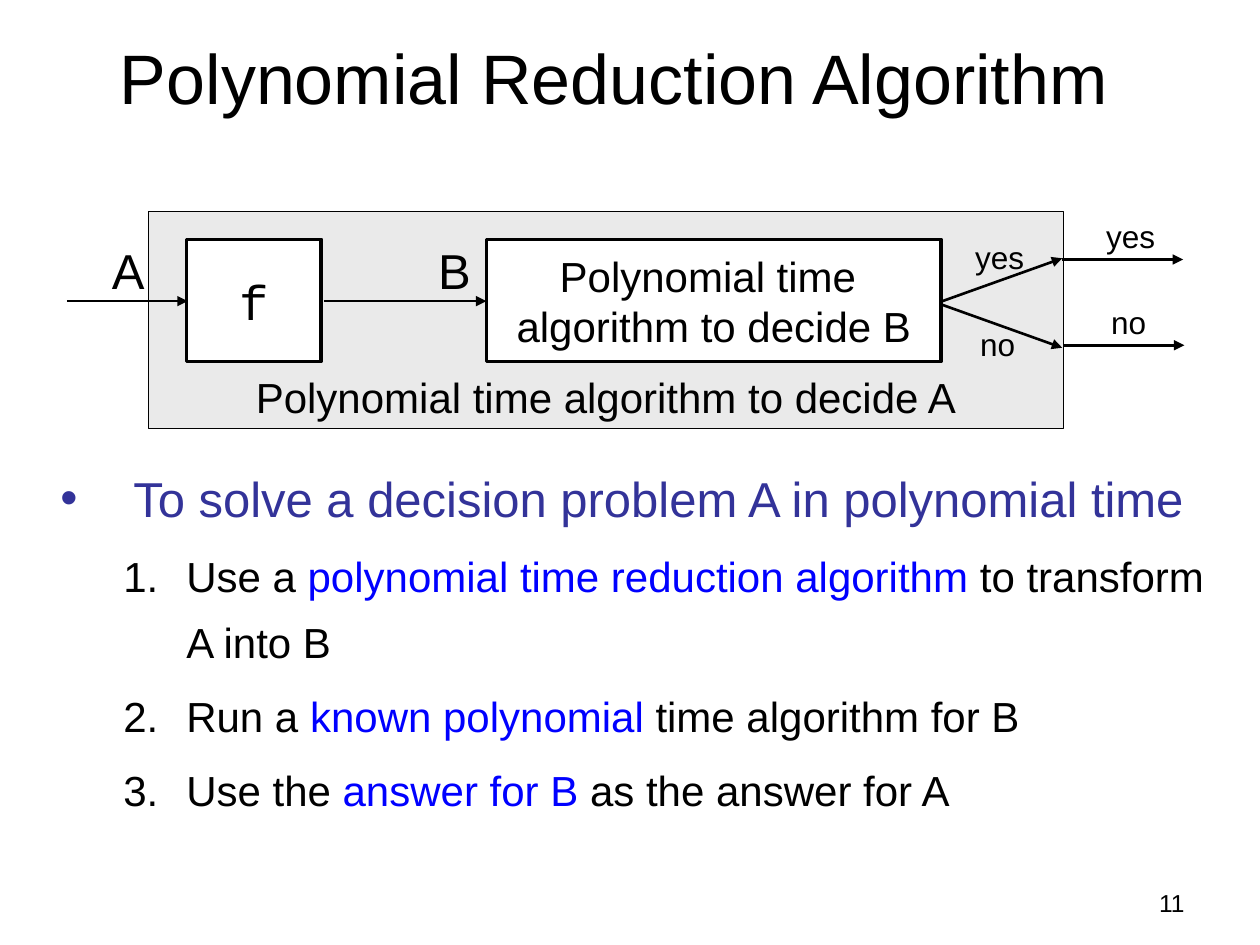
from lxml import etree
from pptx import Presentation
from pptx.dml.color import RGBColor
from pptx.enum.shapes import MSO_CONNECTOR, MSO_SHAPE
from pptx.enum.text import MSO_ANCHOR, PP_ALIGN
from pptx.oxml.ns import qn
from pptx.util import Inches, Pt

BLACK = RGBColor(0x00, 0x00, 0x00)
WHITE = RGBColor(0xFF, 0xFF, 0xFF)
GREY = RGBColor(0xEA, 0xEA, 0xEA)
NAVY = RGBColor(0x33, 0x33, 0x99)
BLUE = RGBColor(0x00, 0x00, 0xFF)
LEFT, CENTER, RIGHT = PP_ALIGN.LEFT, PP_ALIGN.CENTER, PP_ALIGN.RIGHT
TOP, MIDDLE, BOTTOM = MSO_ANCHOR.TOP, MSO_ANCHOR.MIDDLE, MSO_ANCHOR.BOTTOM
RECT, STRAIGHT = MSO_SHAPE.RECTANGLE, MSO_CONNECTOR.STRAIGHT
COLS, ROWS = 100, 75


def write(frame, text, size=24, color=BLACK, font="Arial", align=LEFT,
          mark=None, hang=0, indent=0, lead=None):
    for line in text.split("\n"):
        par = frame.paragraphs[0]
        first = not par.runs
        if not first:
            par = frame.add_paragraph()
        if mark:
            props = par._p.get_or_add_pPr()
            props.set("marL", str(Inches(indent)))
            props.set("indent", str(-Inches(hang)))
            if mark == "1.":
                etree.SubElement(props, qn("a:buAutoNum"), type="arabicPeriod")
            else:
                etree.SubElement(props, qn("a:buFont"), typeface=font)
                etree.SubElement(props, qn("a:buChar"), char=mark)
        if lead:
            par.line_spacing = lead
            par.space_before = Pt(0 if first else size * 0.2)
        par.alignment = align
        for place, part in enumerate(line.split("|")):
            run = par.add_run()
            run.text = part
            run.font.size = Pt(size)
            run.font.name = font
            run.font.color.rgb = BLUE if place % 2 else color


class Board:
    def __init__(self):
        self.deck = Presentation()
        self.deck.slide_width = Inches(10)
        self.deck.slide_height = Inches(7.5)
        self.slide = self.deck.slides.add_slide(self.deck.slide_layouts[6])
        self.shapes = self.slide.shapes

    def grid(self, *spots):
        units = self.deck.slide_width / COLS, self.deck.slide_height / ROWS
        return [round(spot * units[i % 2]) for i, spot in enumerate(spots)]

    def text(self, spot, text, anchor=TOP, wrap=True, **form):
        frame = self.shapes.add_textbox(*self.grid(*spot)).text_frame
        frame.word_wrap = wrap
        frame.vertical_anchor = anchor
        write(frame, text, **form)
        return frame

    def block(self, spot, text, fill=WHITE, width=2, anchor=MIDDLE, **form):
        shape = self.shapes.add_shape(RECT, *self.grid(*spot))
        shape.shadow.inherit = False
        shape.fill.solid()
        shape.fill.fore_color.rgb = fill
        shape.line.color.rgb = BLACK
        shape.line.width = Pt(width)
        shape.text_frame.word_wrap = False
        shape.text_frame.vertical_anchor = anchor
        write(shape.text_frame, text, align=CENTER, **form)

    def arrow(self, *ends):
        line = self.shapes.add_connector(STRAIGHT, *self.grid(*ends))
        line.line.color.rgb = BLACK
        line.line.width = Pt(1.5)
        etree.SubElement(line.line._get_or_add_ln(), qn("a:tailEnd"), type="triangle")
        etree.SubElement(line._element.spPr, qn("a:effectLst"))


def main():
    board = Board()
    board.text((3.7, 1.1, 90, 9.9), "Polynomial Reduction Algorithm",
               anchor=MIDDLE, size=40, align=CENTER)

    board.block((11.8, 16.8, 72.6, 17.2), "Polynomial time algorithm to decide A",
                fill=GREY, width=0.75, anchor=BOTTOM)
    board.block((14.8, 19, 10.7, 9.7), "f", size=28, font="Courier New")
    board.block((38.6, 19, 36.1, 9.7), "Polynomial time \nalgorithm to decide B")

    for ends in ((5.3, 23.9, 14.9, 23.9), (25.7, 23.9, 38.6, 23.9),
                 (74.8, 23.9, 84.3, 20.5), (74.8, 24.2, 84.3, 27.6),
                 (84.3, 20.6, 93.9, 20.6), (84.4, 27.4, 94, 27.4)):
        board.arrow(*ends)

    for name, left in (("A", 7.9), ("B", 33.8)):
        board.text((left, 18.6, 4.6, 5.7), name, wrap=False, size=28)
    for left, top in ((76.4, 18.4), (86.8, 16.7)):
        board.text((left, top, 5.9, 4), "yes", wrap=False, size=18)
        board.text((left + 0.4, top + 6.9, 4.8, 4), "no", wrap=False, size=18)

    body = board.text((3.8, 35.3, 92.9, 33.5),
                      "To solve a decision problem A in polynomial time",
                      size=28, color=NAVY, mark="•", hang=0.58, indent=0.58, lead=1.3)
    write(body,
          "Use a |polynomial time reduction algorithm| to transform A into B\n"
          "Run a |known polynomial| time algorithm for B\n"
          "Use the |answer for B| as the answer for A",
          mark="1.", hang=0.5, indent=1, lead=1.3)

    board.text((71.7, 70, 23.3, 3.5), "11", size=14, align=RIGHT)
    board.deck.save("out.pptx")


if __name__ == "__main__":
    main()
